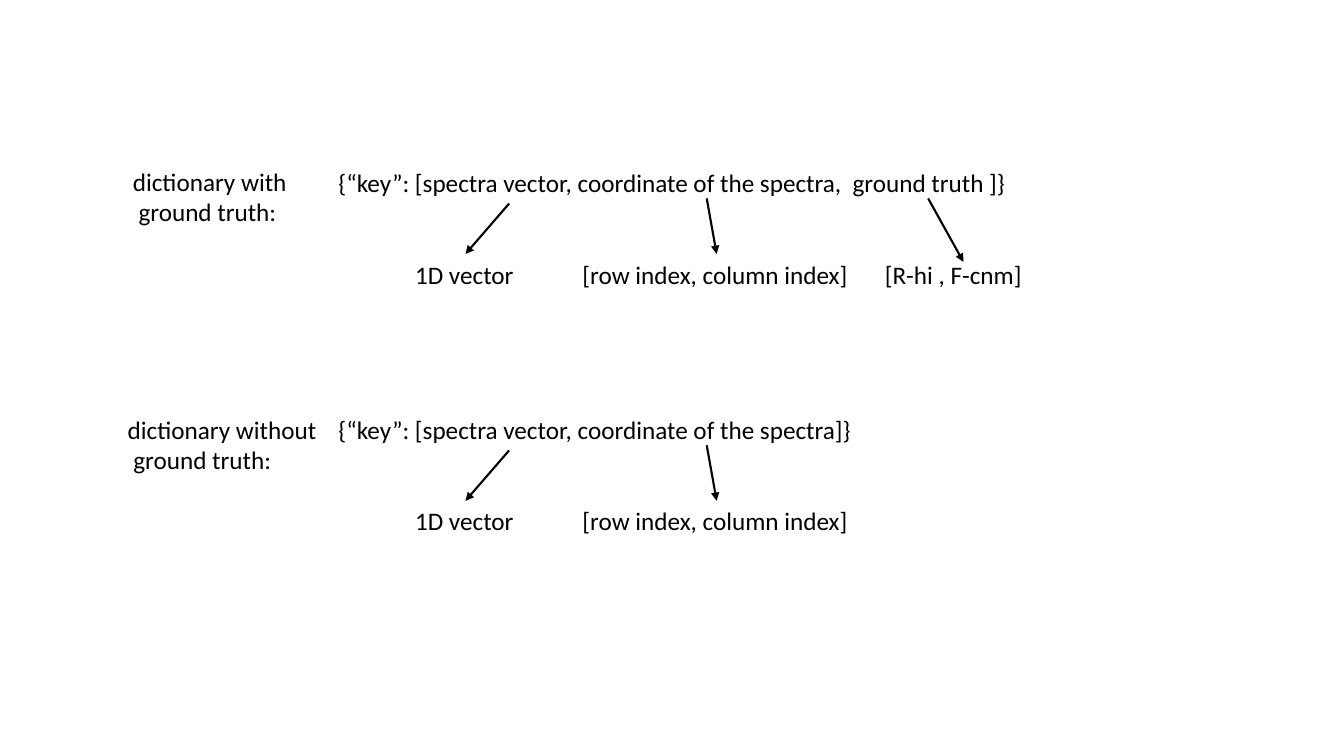
from dataclasses import dataclass

from lxml import etree
from pptx import Presentation
from pptx.dml.color import RGBColor
from pptx.enum.shapes import MSO_CONNECTOR
from pptx.enum.text import MSO_AUTO_SIZE
from pptx.oxml.ns import qn
from pptx.slide import Slide
from pptx.util import Cm, Pt

STRAIGHT = MSO_CONNECTOR.STRAIGHT
FIT_SHAPE = MSO_AUTO_SIZE.SHAPE_TO_FIT_TEXT
COLOURS = {"ink": "000000"}
INK = RGBColor.from_string(COLOURS["ink"])
FONT_FORMAT = {"name": "Calibri", "size": Pt(18)}
FRAME_FORMAT = {"word_wrap": False, "auto_size": FIT_SHAPE}
LINE_HEIGHT = 1.02
ENTRY_LEFT = 8.28
MEANING_DROP = 2.31


@dataclass(frozen=True)
class Caption:
    lines: tuple[str, ...]
    left: float
    top: float
    width: float
    height: float = LINE_HEIGHT


@dataclass(frozen=True)
class Field:
    meaning: str
    left: float
    width: float
    arrow_start: tuple[float, float]
    arrow_end: tuple[float, float]


@dataclass(frozen=True)
class Dictionary:
    title: Caption
    entry: str
    entry_width: float
    top: float
    fields: tuple[Field, ...]


def add_caption(slide: Slide, caption: Caption) -> None:
    box = slide.shapes.add_textbox(
        Cm(caption.left), Cm(caption.top), Cm(caption.width), Cm(caption.height)
    )
    frame = box.text_frame
    for attribute, value in FRAME_FORMAT.items():
        setattr(frame, attribute, value)
    frame.text = "\n".join(caption.lines)
    for paragraph in frame.paragraphs:
        for run in paragraph.runs:
            for attribute, value in FONT_FORMAT.items():
                setattr(run.font, attribute, value)
            run.font.color.rgb = INK


def add_arrow(slide: Slide, field: Field, top: float) -> None:
    (start_x, start_y), (end_x, end_y) = field.arrow_start, field.arrow_end
    arrow = slide.shapes.add_connector(
        STRAIGHT, Cm(start_x), Cm(top + start_y), Cm(end_x), Cm(top + end_y)
    )
    arrow.line.color.rgb = INK
    arrow.line.width = Pt(1.5)
    properties = arrow.line._get_or_add_ln()
    etree.SubElement(properties, qn("a:tailEnd"), type="triangle")
    etree.SubElement(arrow._element.spPr, qn("a:effectLst"))


def add_dictionary(slide: Slide, dictionary: Dictionary) -> None:
    top = dictionary.top
    add_caption(slide, dictionary.title)
    add_caption(
        slide, Caption((dictionary.entry,), ENTRY_LEFT, top, dictionary.entry_width)
    )
    for field in dictionary.fields:
        add_caption(
            slide,
            Caption((field.meaning,), field.left, top + MEANING_DROP, field.width),
        )
        add_arrow(slide, field, top)


SPECTRA = Field("1D vector", 10.21, 3.02, (12.83, 1.04), (11.73, 2.31))
COORDINATE = Field(
    "[row index, column index]", 14.43, 7.26, (17.81, 0.91), (18.06, 2.31)
)
GROUND_TRUTH = Field("[R-hi , F-cnm]", 22.05, 3.99, (23.39, 0.91), (24.28, 2.51))

DICTIONARIES = (
    Dictionary(
        Caption(("dictionary with", " ground truth:"), 3.1, 4.06, 4.45, 1.8),
        "{“key”: [spectra vector, coordinate of the spectra,  ground truth ]}",
        17.7,
        4.09,
        (SPECTRA, COORDINATE, GROUND_TRUTH),
    ),
    Dictionary(
        Caption(("dictionary without", " ground truth:"), 2.97, 10.31, 5.33, 1.8),
        "{“key”: [spectra vector, coordinate of the spectra]}",
        13.74,
        10.31,
        (SPECTRA, COORDINATE),
    ),
)

presentation = Presentation()
presentation.slide_width = Cm(33.87)
presentation.slide_height = Cm(19.05)
slide = presentation.slides.add_slide(presentation.slide_layouts[6])
for dictionary in DICTIONARIES:
    add_dictionary(slide, dictionary)
presentation.save("out.pptx")
